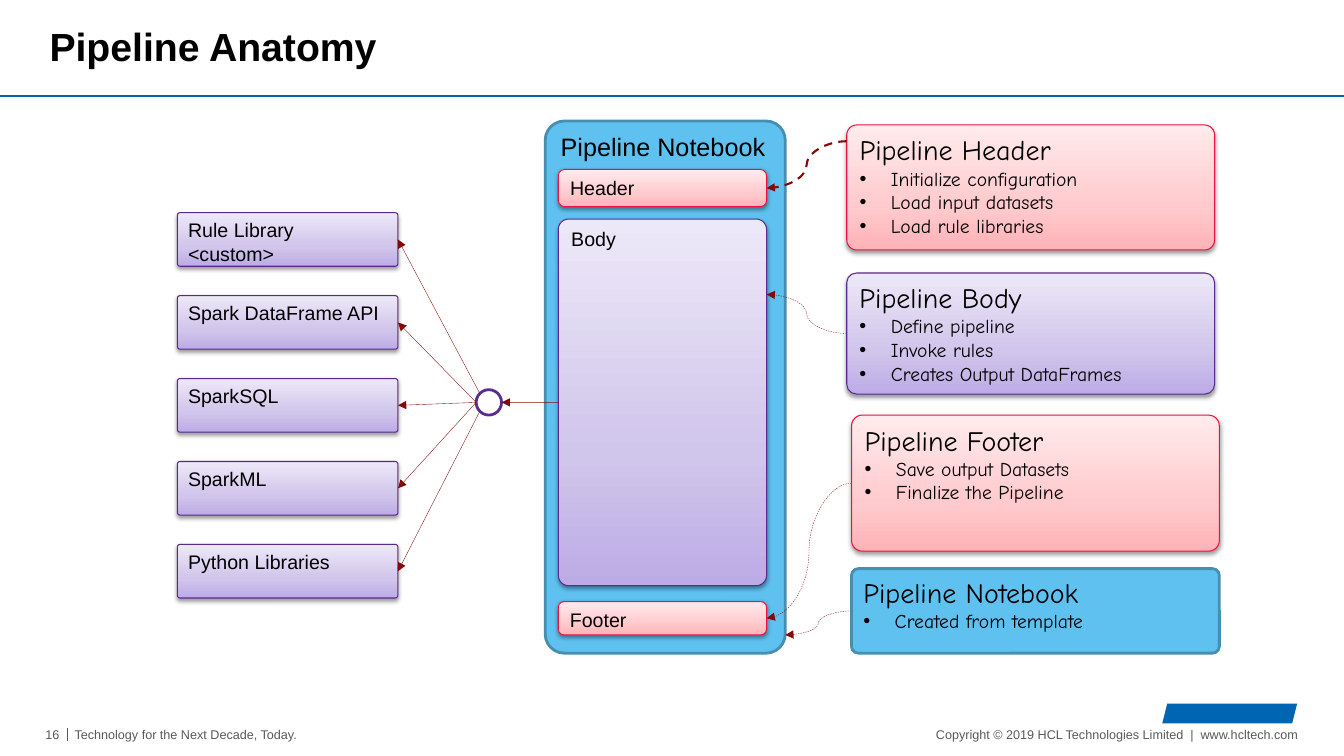
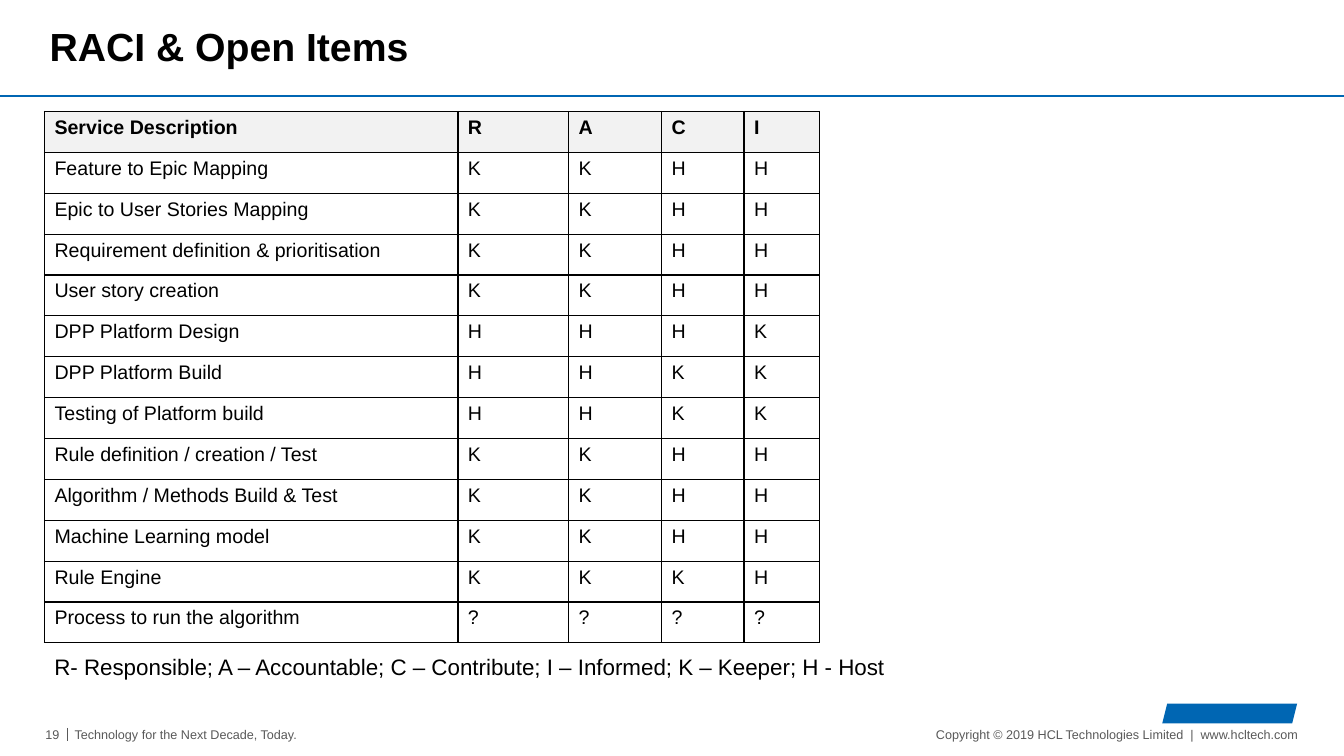
from lxml import etree
from pptx import Presentation
from pptx.dml.color import RGBColor
from pptx.enum.dml import MSO_LINE
from pptx.enum.shapes import MSO_CONNECTOR, MSO_SHAPE
from pptx.enum.text import MSO_ANCHOR, PP_ALIGN
from pptx.oxml.ns import qn
from pptx.util import Cm, Pt

STRAIGHT, CURVE = MSO_CONNECTOR.STRAIGHT, MSO_CONNECTOR.CURVE
ROUNDED, OVAL = MSO_SHAPE.ROUNDED_RECTANGLE, MSO_SHAPE.OVAL
PARALLELOGRAM = MSO_SHAPE.PARALLELOGRAM
LEFT, RIGHT = PP_ALIGN.LEFT, PP_ALIGN.RIGHT
TOP, MIDDLE = MSO_ANCHOR.TOP, MSO_ANCHOR.MIDDLE
DASH = MSO_LINE.DASH
LEFT_SIDE, RIGHT_SIDE = 1, 3

BLACK = RGBColor(0x00, 0x00, 0x00)
WHITE = RGBColor(0xFF, 0xFF, 0xFF)
GREY = RGBColor(0x59, 0x59, 0x59)
BRAND_BLUE = RGBColor(0x00, 0x66, 0xB3)
HEADER_GREY = RGBColor(0xF2, 0xF2, 0xF2)
SKY = RGBColor(0x5E, 0xC1, 0xEF)
SKY_EDGE = RGBColor(0x46, 0x8F, 0xB1)
RED_EDGE = RGBColor(0xEB, 0x13, 0x42)
PURPLE_EDGE = RGBColor(0x58, 0x2A, 0x90)
RING = RGBColor(0x5A, 0x2D, 0x91)
MAROON = RGBColor(0x85, 0x09, 0x09)
# Gradient colours from bottom to top
RED_FADE = (RGBColor(0xFF, 0xB3, 0xB8), RGBColor(0xFF, 0xCA, 0xCD), RGBColor(0xFF, 0xEB, 0xEC))
PURPLE_FADE = (RGBColor(0xBC, 0xAB, 0xE5), RGBColor(0xD0, 0xC5, 0xEB), RGBColor(0xED, 0xE8, 0xF8))
FADE_STOPS = (0, 35, 100)

# Style: fill (one colour or a gradient), edge colour, edge width
RED = (RED_FADE, RED_EDGE, 0.75)
PURPLE = (PURPLE_FADE, PURPLE_EDGE, 0.75)
BLUE = (SKY, SKY_EDGE, 2)

BODY_FONT, HAND_FONT = "Arial", "Comic Neue"
WIDTH, HEIGHT = 33.87, 19.05

LIBRARIES = ("Rule Library\n<custom>", "Spark DataFrame API", "SparkSQL", "SparkML",
             "Python Libraries")
RACI_COLUMNS = (10.42, 2.79, 2.34, 2.08, 1.91)
RACI_ROWS = (
    ("Service Description", "RACI"),
    ("Feature to Epic Mapping", "KKHH"),
    ("Epic to User Stories Mapping", "KKHH"),
    ("Requirement definition & prioritisation", "KKHH"),
    ("User story creation", "KKHH"),
    ("DPP Platform Design", "HHHK"),
    ("DPP Platform Build", "HHKK"),
    ("Testing of Platform build", "HHKK"),
    ("Rule definition / creation / Test", "KKHH"),
    ("Algorithm / Methods Build & Test", "KKHH"),
    ("Machine Learning model", "KKHH"),
    ("Rule Engine", "KKKH"),
    ("Process to run the algorithm", "????"),
)


def add_span(para, text, size, color=BLACK, font=BODY_FONT, bold=False):
    """Add text to a paragraph, one run per line."""
    for number, line in enumerate(text.split("\n")):
        if number:
            para.add_line_break()
        span = para.add_run()
        span.text = line
        span.font.size = Pt(size)
        span.font.name = font
        span.font.bold = bold
        span.font.color.rgb = color


def add_text(slide, place, text, size, color=BLACK, bold=False, align=LEFT,
             anchor=TOP, inset=None, wrap=True):
    box = slide.shapes.add_textbox(*map(Cm, place))
    frame = box.text_frame
    frame.word_wrap = wrap
    frame.vertical_anchor = anchor
    if inset is not None:
        frame.margin_left = frame.margin_right = Cm(inset)
        frame.margin_top = frame.margin_bottom = Cm(inset)
    para = frame.paragraphs[0]
    para.alignment = align
    add_span(para, text, size, color, bold=bold)


def set_bullet(para):
    props = para._p.get_or_add_pPr()
    props.set("marL", str(Cm(0.79)))
    props.set("indent", str(-Cm(0.79)))
    etree.SubElement(props, qn("a:buFont"), typeface=BODY_FONT)
    etree.SubElement(props, qn("a:buChar"), char="•")


def add_color(parent, color):
    return etree.SubElement(parent, qn("a:srgbClr"), val=str(color))


def fill_gradient(shape, colors):
    shape.fill.gradient()
    shape.fill.gradient_angle = 90
    stops = shape._element.spPr.find(qn("a:gradFill")).find(qn("a:gsLst"))
    for stop in list(stops):
        stops.remove(stop)
    for percent, color in zip(FADE_STOPS, colors):
        add_color(etree.SubElement(stops, qn("a:gs"), pos=str(percent * 1000)), color)


def cast_shadow(shape):
    effects = shape._element.spPr.find(qn("a:effectLst"))
    shadow = etree.SubElement(effects, qn("a:outerShdw"), blurRad=str(Pt(3.1)),
                              dist=str(Pt(1.6)), dir="5400000", rotWithShape="0")
    etree.SubElement(add_color(shadow, BLACK), qn("a:alpha"), val="38000")


def add_shape(slide, kind, place, fill, edge=None, weight=1):
    shape = slide.shapes.add_shape(kind, *map(Cm, place))
    shape.shadow.inherit = False
    if isinstance(fill, RGBColor):
        shape.fill.solid()
        shape.fill.fore_color.rgb = fill
    else:
        fill_gradient(shape, fill)
        cast_shadow(shape)
    if edge is None:
        shape.line.fill.background()
    else:
        shape.line.color.rgb = edge
        shape.line.width = Pt(weight)
    return shape


def add_panel(slide, place, style, heading, size, bullets=(), font=BODY_FONT, corner=0.08):
    """Add a rounded box with a heading and optional bullets."""
    panel = add_shape(slide, ROUNDED, place, *style)
    panel.adjustments[0] = corner
    frame = panel.text_frame
    frame.word_wrap = True
    frame.vertical_anchor = TOP
    frame.margin_right = 0
    para = frame.paragraphs[0]
    para.alignment = LEFT
    add_span(para, heading, size, font=font)
    for bullet in bullets:
        para = frame.add_paragraph()
        para.alignment = LEFT
        set_bullet(para)
        add_span(para, bullet, 14, font=font)
    return panel


def add_line(slide, begin, end, color, weight, kind=STRAIGHT):
    """Draw a line; each end is a point in cm or a (shape, side) pair."""
    line = slide.shapes.add_connector(kind, 0, 0, 0, 0)
    if isinstance(begin[0], (int, float)):
        line.begin_x, line.begin_y = map(Cm, begin)
    else:
        line.begin_connect(*begin)
    if isinstance(end[0], (int, float)):
        line.end_x, line.end_y = map(Cm, end)
    else:
        line.end_connect(*end)
    line.line.color.rgb = color
    line.line.width = Pt(weight)
    etree.SubElement(line._element.spPr, qn("a:effectLst"))
    return line


def add_arrow(slide, begin, end, weight=0.25, kind=STRAIGHT):
    arrow = add_line(slide, begin, end, MAROON, weight, kind)
    if kind == CURVE:
        arrow.line.dash_style = DASH
    etree.SubElement(arrow._element.spPr.find(qn("a:ln")), qn("a:tailEnd"), type="triangle")


def add_page(deck, title, number):
    """Add a slide with the shared title, rule and footer."""
    slide = deck.slides.add_slide(deck.slide_layouts[6])
    add_line(slide, (0, 2.42), (WIDTH, 2.42), BRAND_BLUE, 1.5)
    add_text(slide, (1.12, 0.15, 31.6, 2.01), title, 28, bold=True, anchor=MIDDLE, inset=0.13)
    add_shape(slide, PARALLELOGRAM, (29.29, 17.73, 3.4, 0.5), BRAND_BLUE)
    for left, width, text, align in (
        (1.12, 0.38, number, RIGHT),
        (1.88, 5.77, "Technology for the Next Decade, Today.", LEFT),
        (23.44, 9.27, "Copyright © 2019 HCL Technologies Limited  |  www.hcltech.com", RIGHT),
    ):
        add_text(slide, (left, 18.31, width, 0.38), text, 9, GREY, align=align,
                 anchor=MIDDLE, inset=0, wrap=False)
    add_line(slide, (1.7, 18.34), (1.7, 18.67), GREY, 0.75)
    return slide


def build_anatomy(deck):
    slide = add_page(deck, "Pipeline Anatomy", "16")

    add_panel(slide, (13.74, 3.05, 6.05, 13.41), BLUE, "Pipeline Notebook", 18)
    header = add_panel(slide, (14.07, 4.27, 5.25, 0.94), RED, "Header", 14, corner=0.17)
    footer = add_panel(slide, (14.07, 15.16, 5.25, 0.84), RED, "Footer", 14, corner=0.17)
    body = add_panel(slide, (14.07, 5.52, 5.25, 9.24), PURPLE, "Body", 14, corner=0.05)

    cards = [
        add_panel(slide, (left, top, 9.27, height), style, heading, 20, bullets, HAND_FONT)
        for left, top, height, style, heading, bullets in (
            (21.34, 3.15, 3.15, RED, "Pipeline Header",
             ("Initialize configuration", "Load input datasets", "Load rule libraries")),
            (21.34, 6.88, 3.05, PURPLE, "Pipeline Body",
             ("Define pipeline", "Invoke rules", "Creates Output DataFrames")),
            (21.46, 10.46, 3.43, RED, "Pipeline Footer",
             ("Save output Datasets", "Finalize the Pipeline")),
            (21.46, 14.33, 2.13, BLUE, "Pipeline Notebook", ("Created from template",)),
        )
    ]
    body_card, footer_card, notebook_card = cards[1:]
    add_arrow(slide, (21.34, 3.56), (header, RIGHT_SIDE), 1.5, CURVE)
    add_arrow(slide, (body_card, LEFT_SIDE), (19.32, 7.42), kind=CURVE)
    add_arrow(slide, (footer_card, LEFT_SIDE), (footer, RIGHT_SIDE), kind=CURVE)
    add_arrow(slide, (notebook_card, LEFT_SIDE), (19.79, 16), kind=CURVE)

    add_shape(slide, OVAL, (12, 9.82, 0.64, 0.64), WHITE, RING, 2)
    add_arrow(slide, (body, LEFT_SIDE), (12.64, 10.14))
    ring_left = (12, 10.14)
    starts = ((12.09, 9.91), ring_left, ring_left, ring_left, (12.09, 10.37))
    for row, (name, start) in enumerate(zip(LIBRARIES, starts)):
        library = add_panel(slide, (4.47, 5.36 + row * 2.09, 5.56, 1.35), PURPLE, name, 14,
                            corner=0.05)
        add_arrow(slide, start, (library, RIGHT_SIDE))


def border_cell(cell):
    props = cell._tc.get_or_add_tcPr()
    for position, side in enumerate(("a:lnL", "a:lnR", "a:lnT", "a:lnB")):
        edge = etree.Element(qn(side), w=str(Pt(1)))
        add_color(etree.SubElement(edge, qn("a:solidFill")), BLACK)
        props.insert(position, edge)


def add_raci_table(slide):
    row_height = 1.03
    table = slide.shapes.add_table(
        len(RACI_ROWS), len(RACI_COLUMNS), Cm(1.12), Cm(2.81),
        Cm(sum(RACI_COLUMNS)), Cm(row_height * len(RACI_ROWS))).table
    table.first_row = table.horz_banding = False
    for column, width in zip(table.columns, RACI_COLUMNS):
        column.width = Cm(width)
    for number, (service, roles) in enumerate(RACI_ROWS):
        table.rows[number].height = Cm(row_height)
        is_header = number == 0
        for cell, text in zip(table.rows[number].cells, (service, *roles)):
            if is_header:
                cell.fill.solid()
                cell.fill.fore_color.rgb = HEADER_GREY
            else:
                cell.fill.background()
            border_cell(cell)
            add_span(cell.text_frame.paragraphs[0], text, 14, bold=is_header)


def build_raci(deck):
    slide = add_page(deck, "RACI & Open Items", "19")
    add_raci_table(slide)
    add_text(slide, (1.12, 16.33, 31.01, 0.94),
             "R- Responsible; A – Accountable; C – Contribute; I – Informed; "
             "K – Keeper; H - Host", 16)


def main():
    deck = Presentation()
    deck.slide_width, deck.slide_height = Cm(WIDTH), Cm(HEIGHT)
    build_anatomy(deck)
    build_raci(deck)
    deck.save("out.pptx")


if __name__ == "__main__":
    main()
